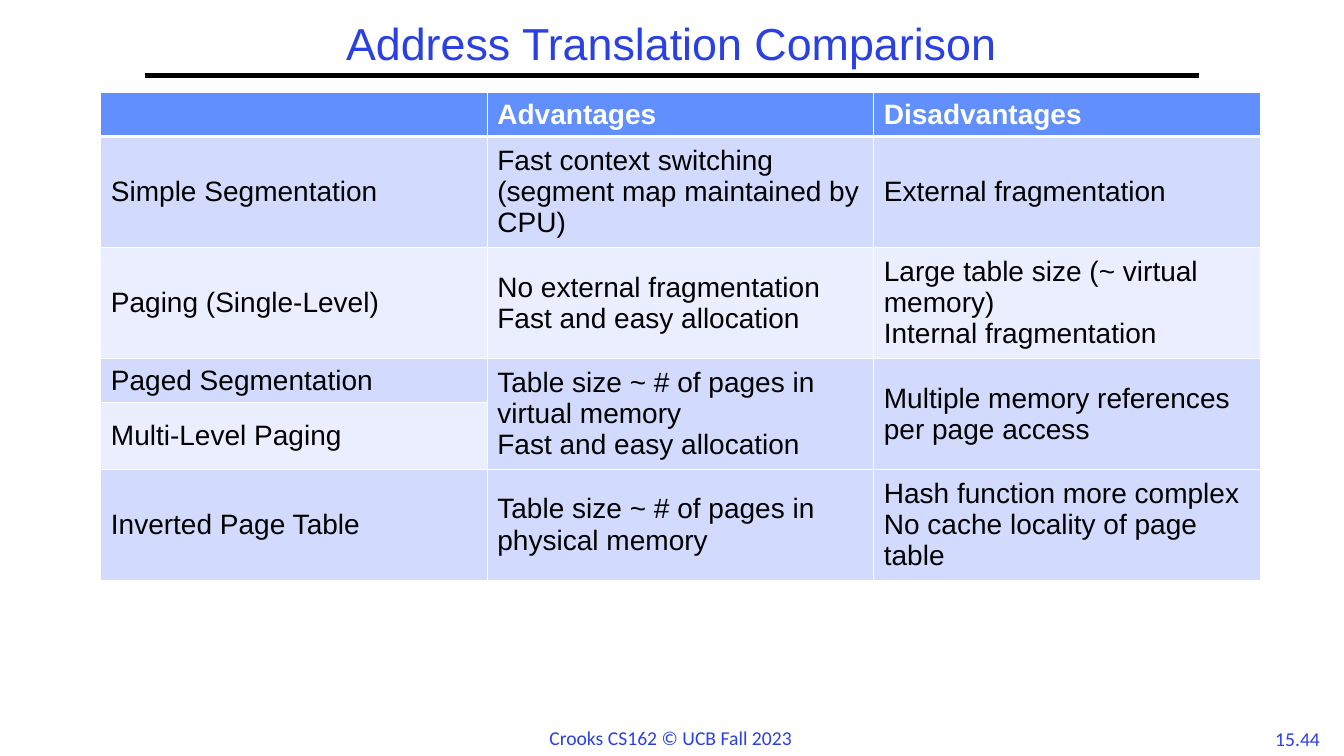
from lxml.etree import SubElement
from pptx import Presentation
from pptx.dml.color import RGBColor
from pptx.enum.shapes import MSO_CONNECTOR
from pptx.enum.text import MSO_ANCHOR, MSO_AUTO_SIZE, PP_ALIGN
from pptx.oxml import parse_xml
from pptx.oxml.ns import nsdecls, qn
from pptx.util import Inches, Pt

HUES = {
    "blue": "2A40E2", "head": "618FFD", "dark": "D2DBFE",
    "light": "EAEEFF", "white": "FFFFFF", "black": "000000",
}

ROWS = [
    ["", "Advantages", "Disadvantages"],
    ["Simple Segmentation",
     "Fast context switching (segment map maintained by CPU)",
     "External fragmentation"],
    ["Paging (Single-Level)",
     "No external fragmentation\nFast and easy allocation",
     "Large table size (~ virtual memory)\nInternal fragmentation"],
    ["Paged Segmentation",
     "Table size ~ # of pages in virtual memory\vFast and easy allocation",
     "Multiple memory references per page access"],
    ["Multi-Level Paging", "", ""],
    ["Inverted Page Table",
     "Table size ~ # of pages in physical memory",
     "Hash function more complex\nNo cache locality of page table"],
]


class Deck:
    def __init__(self):
        self.show = Presentation()
        self.show.slide_width = Inches(13.33)
        self.show.slide_height = Inches(7.5)
        self.slide = self.show.slides.add_slide(self.show.slide_layouts[5])

    def tint(self, name):
        return RGBColor.from_string(HUES[name])

    def style(self, para, size, face, hue, bold=False):
        font = para.font
        font.size, font.name, font.bold = Pt(size), face, bold
        font.color.rgb = self.tint(hue)

    def title(self, text, *box):
        shape = self.slide.shapes.title
        shape.left, shape.top, shape.width, shape.height = map(Inches, box)
        frame = shape.text_frame
        frame.text = text
        frame.word_wrap = True
        frame.auto_size = MSO_AUTO_SIZE.NONE
        frame.vertical_anchor = MSO_ANCHOR.MIDDLE
        para = frame.paragraphs[0]
        para.alignment, para.line_spacing = PP_ALIGN.CENTER, 0.9
        self.style(para, 32, "Arial", "blue")

    def label(self, text, align, *box):
        frame = self.slide.shapes.add_textbox(*map(Inches, box)).text_frame
        frame.text = text
        frame.word_wrap = False
        frame.auto_size = MSO_AUTO_SIZE.SHAPE_TO_FIT_TEXT
        para = frame.paragraphs[0]
        para.alignment = align
        self.style(para, 14, "Calibri", "blue")

    def rule(self, *ends):
        line = self.slide.shapes.add_connector(
            MSO_CONNECTOR.STRAIGHT, *map(Inches, ends))
        line.line.color.rgb = self.tint("black")
        line.line.width = Pt(3)
        SubElement(line._element.spPr, qn("a:effectLst"))

    def edge(self, cell, row):
        props = cell._tc.get_or_add_tcPr()
        for spot, side in enumerate("LRTB"):
            thick = (row, side) in ((0, "B"), (1, "T"))
            props.insert(spot, parse_xml(
                f'<a:ln{side} {nsdecls("a")} w="{Pt(3 if thick else 1)}">'
                f'<a:solidFill><a:srgbClr val="{HUES["white"]}"/></a:solidFill>'
                f'</a:ln{side}>'))

    def table(self, rows, left, top, width, height, step):
        frame = self.slide.shapes.add_table(
            len(rows), len(rows[0]), *map(Inches, (left, top, width, height)))
        grid = frame.table
        for row, texts in enumerate(rows):
            grid.rows[row].height = Inches(step)
            for col, text in enumerate(texts):
                cell = grid.cell(row, col)
                cell.text = text
                cell.vertical_anchor = MSO_ANCHOR.MIDDLE
                fill = "head" if row == 0 else "dark" if row % 2 else "light"
                cell.fill.solid()
                cell.fill.fore_color.rgb = self.tint(fill)
                self.edge(cell, row)
                for para in cell.text_frame.paragraphs:
                    self.style(para, 20, "Arial",
                               "black" if row else "white", row == 0)
        frame.height = Inches(height)
        return grid


def main():
    deck = Deck()
    deck.label("15.44", PP_ALIGN.CENTER, 12.53, 7.16, 0.68, 0.33)
    deck.rule(1.44, 0.75, 11.89, 0.75)
    deck.label("Crooks CS162 © UCB Fall 2023", PP_ALIGN.LEFT,
               5.35, 7.15, 2.63, 0.34)
    deck.title("Address Translation Comparison", 1.44, 0.17, 10.44, 0.58)
    grid = deck.table(ROWS, 1, 0.92, 11.5, 6.17, 0.41)
    for col in (1, 2):
        grid.cell(3, col).merge(grid.cell(4, col))
    deck.show.save("out.pptx")


if __name__ == "__main__":
    main()
